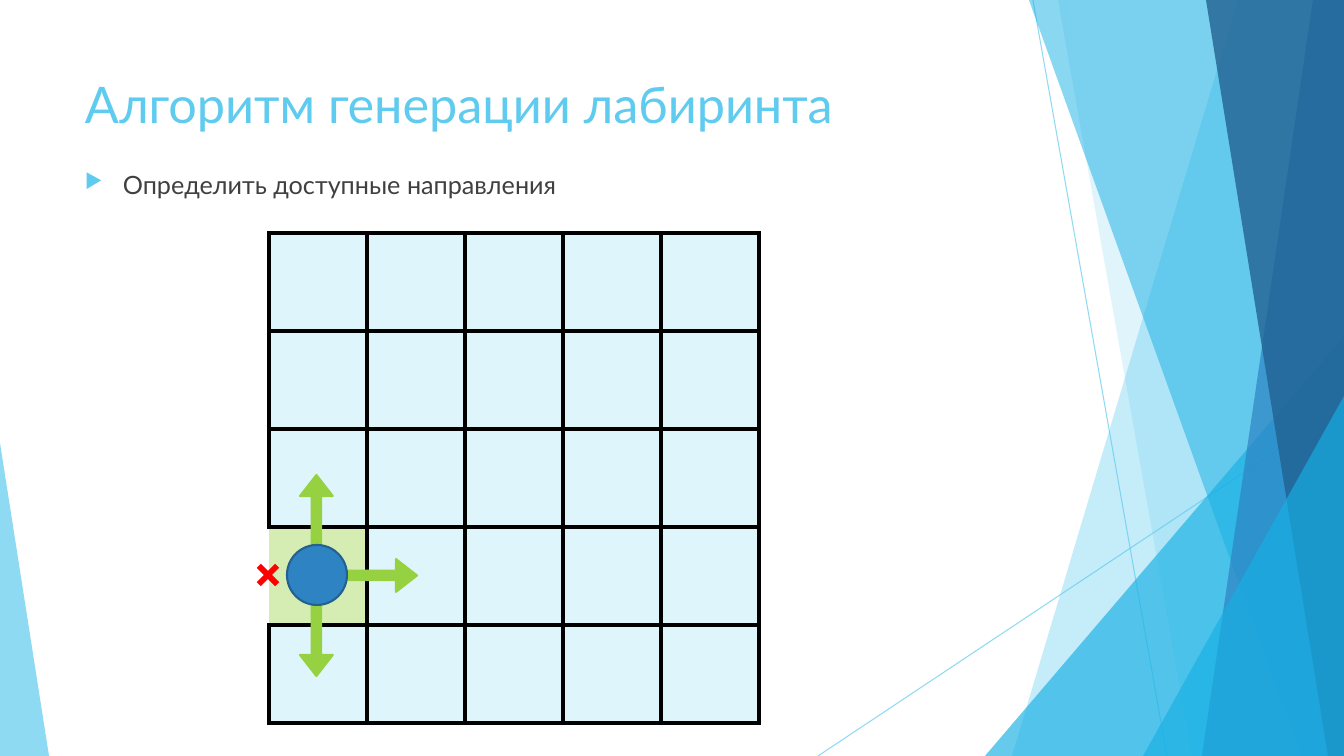
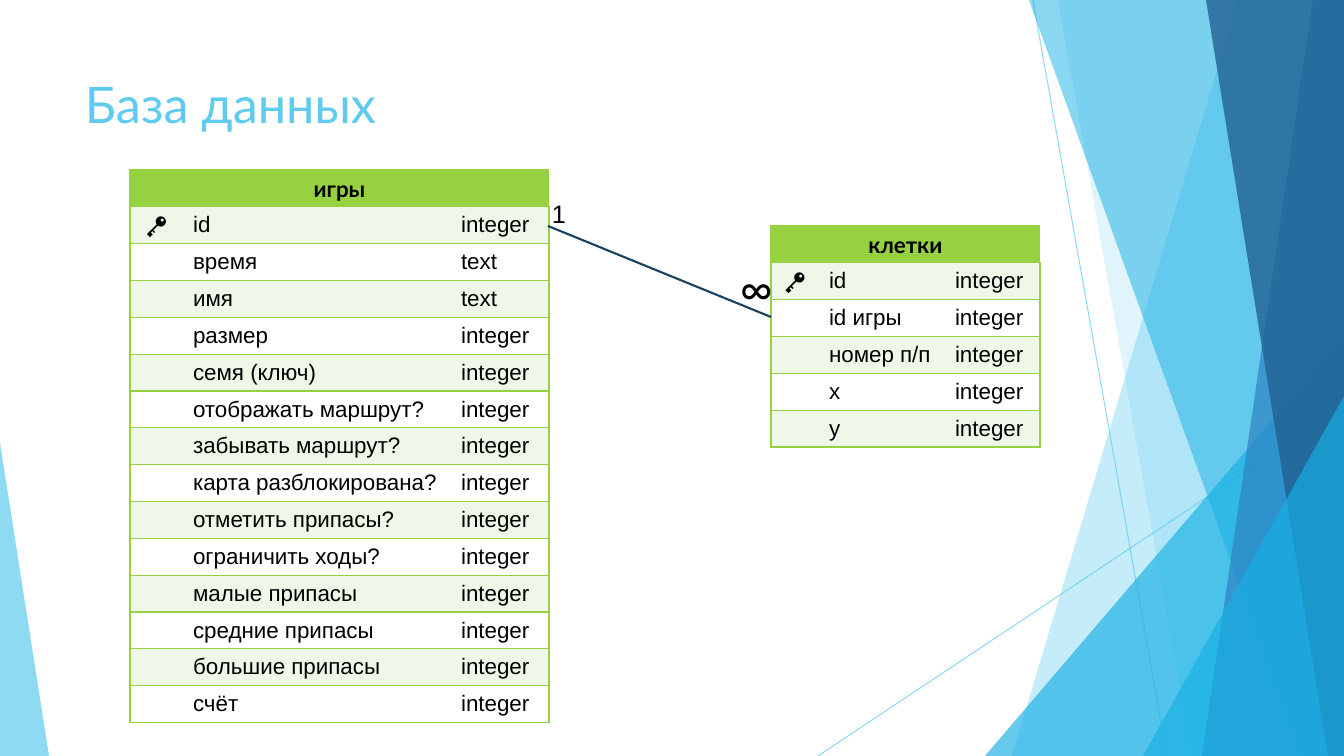
from lxml import etree
from pptx import Presentation
from pptx.dml.color import RGBColor
from pptx.enum.shapes import MSO_CONNECTOR, MSO_SHAPE
from pptx.enum.text import MSO_ANCHOR, PP_ALIGN
from pptx.oxml.ns import qn
from pptx.util import Pt

# Shared look
WIDTH, HEIGHT = 1344, 756
PX = 12192000 / WIDTH
FONT, CELL_FONT = "Lato", "Arial"
SKY, CYAN, BLUE, NAVY = "5FCBEF", "17B0E4", "2E83C3", "226292"
GREEN, PALE_GREEN, PALE_BLUE, MARK = "96D141", "EFF7E9", "DFF5FC", "D5EDB3"
BLACK, WHITE, GREY, RED = "000000", "FFFFFF", "404040", "FF0000"
RELATION, DOT_EDGE = "174162", "226190"
NO_STYLE = "{2D5ABB26-0587-4C30-8999-92F81FD0307C}"

# Slanted bands: top x, bottom x, colour, opacity in percent
BACK_BANDS = [(1238, 1012, SKY, 36), (1058, 1192, SKY, 20)]
FRONT_BANDS = [(1029, 1301, CYAN, 50), (1313, 1202, BLUE, 70), (1206, 1328, NAVY, 80)]

GAMES = [
    ("id", "integer"), ("время", "text"), ("имя", "text"),
    ("размер", "integer"), ("семя (ключ)", "integer"),
    ("отображать маршрут?", "integer"), ("забывать маршрут?", "integer"),
    ("карта разблокирована?", "integer"), ("отметить припасы?", "integer"),
    ("ограничить ходы?", "integer"), ("малые припасы", "integer"),
    ("средние припасы", "integer"), ("большие припасы", "integer"),
    ("счёт", "integer"),
]
CELLS = [("id", "integer"), ("id игры", "integer"), ("номер п/п", "integer"),
         ("x", "integer"), ("y", "integer")]


def px(*lengths):
    return [round(length * PX) for length in lengths]


def rgb(color):
    return RGBColor.from_string(color)


def add_xml(parent, tag, **attributes):
    return etree.SubElement(parent, qn(tag), attributes)


def set_opacity(shape, percent):
    for color in shape._element.spPr.iter(qn("a:srgbClr")):
        add_xml(color, "a:alpha", val=str(percent * 1000))


def paint(shape, fill, opacity=100, line=None):
    shape.shadow.inherit = False
    shape.fill.solid()
    shape.fill.fore_color.rgb = rgb(fill)
    if line:
        shape.line.color.rgb = rgb(line)
        shape.line.width = Pt(1.5)
    else:
        shape.line.fill.background()
    if opacity < 100:
        set_opacity(shape, opacity)


def add_figure(slide, kind, box, fill, opacity=100, line=None, adjust=(), turn=0):
    shape = slide.shapes.add_shape(kind, *px(*box))
    for index, value in enumerate(adjust):
        shape.adjustments[index] = value
    shape.rotation = turn
    paint(shape, fill, opacity, line)


def add_band(slide, top, bottom, color, opacity):
    builder = slide.shapes.build_freeform(top, 0, scale=PX)
    builder.add_line_segments([(WIDTH, 0), (WIDTH, HEIGHT), (bottom, HEIGHT)])
    paint(builder.convert_to_shape(), color, opacity)


def add_line(slide, start, end, color, width, opacity=100):
    line = slide.shapes.add_connector(MSO_CONNECTOR.STRAIGHT, *px(*start, *end))
    line.line.color.rgb = rgb(color)
    line.line.width = Pt(width)
    add_xml(line._element.spPr, "a:effectLst")
    if opacity < 100:
        set_opacity(line, opacity)


def style_text(paragraph, size, color=BLACK, font=FONT, bold=False):
    paragraph.font.size = Pt(size)
    paragraph.font.name = font
    paragraph.font.bold = bold
    paragraph.font.color.rgb = rgb(color)


def add_text(slide, text, box, size, color=BLACK, font=FONT, wrap=True, bullet=False):
    frame = slide.shapes.add_textbox(*px(*box)).text_frame
    frame.word_wrap = wrap
    paragraph = frame.paragraphs[0]
    paragraph.text = text
    if bullet:
        properties = paragraph._p.get_or_add_pPr()
        indent = px(38)[0]
        properties.set("marL", str(indent))
        properties.set("indent", str(-indent))
        add_xml(add_xml(properties, "a:buClr"), "a:srgbClr", val=SKY)
        add_xml(properties, "a:buSzPct", val="80000")
        add_xml(properties, "a:buChar", char="▶")
    style_text(paragraph, size, color, font)


def style_cell(cell, fill, sides, color, width):
    """Draw borders on the sides named by letters of LRTB, then fill."""
    properties = cell._tc.get_or_add_tcPr()
    for side in sides:
        border = add_xml(properties, f"a:ln{side}", w=str(Pt(width)))
        add_xml(add_xml(border, "a:solidFill"), "a:srgbClr", val=color)
    cell.fill.solid()
    cell.fill.fore_color.rgb = rgb(fill)


def add_plain_table(slide, left, top, widths, row_count, height):
    box = px(left, top, sum(widths), height)
    table = slide.shapes.add_table(row_count, len(widths), *box).table
    table._tbl.tblPr.find(qn("a:tableStyleId")).text = NO_STYLE
    table.first_row = table.horz_banding = False
    for column, width in zip(table.columns, px(*widths)):
        column.width = width
    return table


def add_maze(slide, left, top, count, size, marked):
    table = add_plain_table(slide, left, top, [size] * count, count, size * count)
    for row in range(count):
        for column in range(count):
            is_marked = (row, column) == marked
            style_cell(table.cell(row, column), MARK if is_marked else PALE_BLUE,
                       "RTB" if is_marked else "RTB" if column else "LRTB", BLACK, 3)


def add_entity(slide, name, fields, left, top, widths, height):
    """Draw a database table: its name, then a row for each field."""
    rows = [(name, "", "")]
    rows += [("" if index else "🔑", *field) for index, field in enumerate(fields)]
    table = add_plain_table(slide, left, top, widths, len(rows), height)
    for row, texts in enumerate(rows):
        is_header = row == 0
        fill = GREEN if is_header else PALE_GREEN if row % 2 else WHITE
        for column, text in enumerate(texts):
            cell = table.cell(row, column)
            style_cell(cell, fill, ("LTB", "TB", "RTB")[column], GREEN, 1)
            cell.margin_top = cell.margin_bottom = 0
            cell.vertical_anchor = MSO_ANCHOR.MIDDLE
            paragraph = cell.text_frame.paragraphs[0]
            paragraph.text = text
            if column == 0:
                paragraph.alignment = PP_ALIGN.CENTER
            style_text(paragraph, 16, font=CELL_FONT if column else FONT, bold=is_header)
    table.cell(0, 0).merge(table.cell(0, len(widths) - 1))


def add_slide(presentation, title):
    slide = presentation.slides.add_slide(presentation.slide_layouts[6])
    triangle = MSO_SHAPE.ISOSCELES_TRIANGLE
    add_line(slide, (1033, 0), (1167, HEIGHT), SKY, 0.75, 70)
    add_line(slide, (WIDTH, 406), (818, HEIGHT), SKY, 0.75, 70)
    for band in BACK_BANDS:
        add_band(slide, *band)
    add_figure(slide, triangle, (985, 336, 359, 420), CYAN, 66, adjust=[1])
    for band in FRONT_BANDS:
        add_band(slide, *band)
    add_figure(slide, triangle, (1143, 396, 201, 360), CYAN, 66, adjust=[1])
    add_figure(slide, triangle, (0, 443, 49, 313), SKY, 70, adjust=[0])
    add_text(slide, title, (75, 68, 948, 98), 36, SKY)
    return slide


def build_maze_slide(presentation):
    slide = add_slide(presentation, "Алгоритм генерации лабиринта")
    add_text(slide, "Определить доступные направления", (75, 164, 878, 69), 18, GREY,
             bullet=True)
    add_maze(slide, 269, 233, 5, 98, marked=(3, 0))
    # Open directions, the walker and the closed direction
    add_figure(slide, MSO_SHAPE.LEFT_RIGHT_UP_ARROW, (258, 517, 201, 117), GREEN,
               line=GREEN, adjust=[0.08, 0.14, 0.18], turn=90)
    add_figure(slide, MSO_SHAPE.OVAL, (287, 545, 60, 60), BLUE, line=DOT_EDGE)
    add_figure(slide, MSO_SHAPE.CROSS, (255, 562, 26, 26), RED, adjust=[0.39], turn=315)


def build_database_slide(presentation):
    slide = add_slide(presentation, "База данных")
    add_entity(slide, "игры", GAMES, 130, 170, [53, 268, 98], 553)
    add_entity(slide, "клетки", CELLS, 771, 226, [48, 126, 95], 221)
    # One-to-many relation
    add_line(slide, (771, 317), (548, 226), RELATION, 1.5)
    add_text(slide, "∞", (730, 256, 47, 65), 32, wrap=False)
    add_text(slide, "1", (542, 193, 47, 40), 18, font=CELL_FONT, wrap=False)


def main():
    presentation = Presentation()
    presentation.slide_width, presentation.slide_height = px(WIDTH, HEIGHT)
    build_maze_slide(presentation)
    build_database_slide(presentation)
    presentation.save("out.pptx")


if __name__ == "__main__":
    main()
